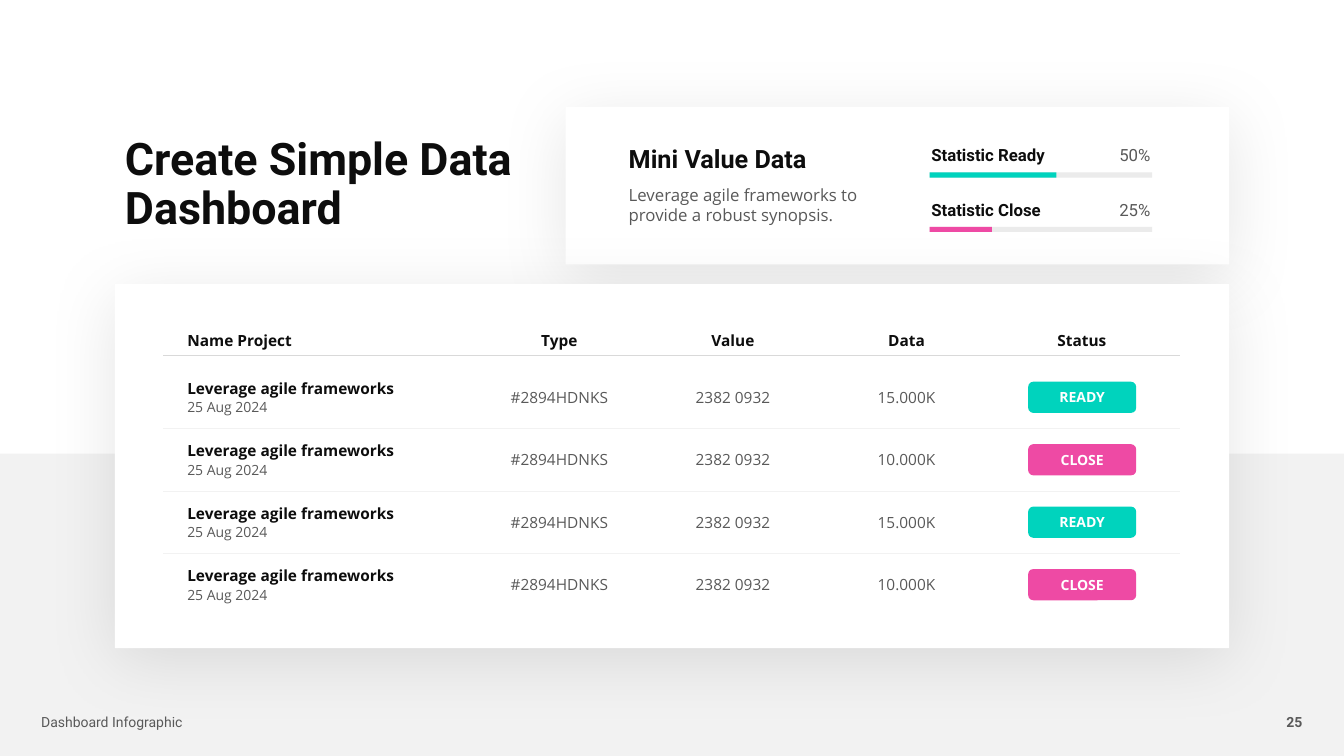
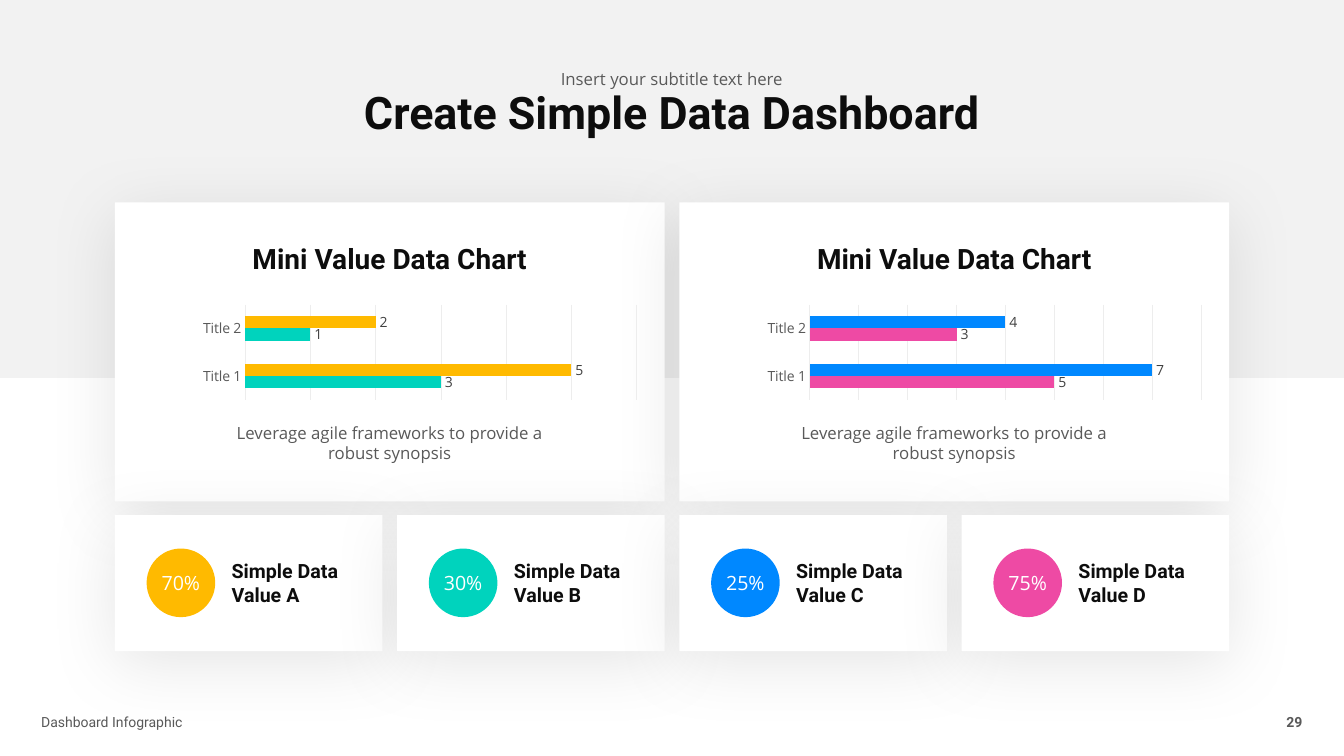
import collections

import lxml.etree
import pptx
import pptx.chart.data
import pptx.dml.color
import pptx.enum.chart
import pptx.enum.shapes
import pptx.enum.text
import pptx.oxml
import pptx.oxml.ns
import pptx.util

Pt = pptx.util.Pt
SHAPE = pptx.enum.shapes.MSO_SHAPE
ANCHOR = pptx.enum.text.MSO_ANCHOR
ALIGN = pptx.enum.text.PP_ALIGN
Box = collections.namedtuple("Box", "x y w h")

COLORS = {
    "white": "FFFFFF", "band": "F2F2F2", "ink": "0D0D0D", "body": "595959",
    "label": "404040", "rule": "D9D9D9", "grid": "EDEDED", "track": "EBEBEB",
    "teal": "00D3BD", "pink": "EE4AA4", "amber": "FFBA00", "blue": "0088FF",
}
HEADING, BODY = "Roboto", "Open Sans"
STYLES = {
    "title": (dict(name=HEADING, size=Pt(32), bold=True), "ink", 0.9),
    "subtitle": (dict(name=BODY, size=Pt(12), bold=False), "body", 1.2),
    "chart title": (dict(name=HEADING, size=Pt(20), bold=True), "ink", 0.9),
    "summary title": (dict(name=HEADING, size=Pt(18), bold=True), "ink", 0.9),
    "metric": (dict(name=HEADING, size=Pt(14), bold=True), "ink", 1.0),
    "percent": (dict(name=BODY, size=Pt(14), bold=False), "white", 1.0),
    "text": (dict(name=BODY, size=Pt(12), bold=False), "body", 1.0),
    "statistic": (dict(name=HEADING, size=Pt(12), bold=True), "ink", 1.0),
    "share": (dict(name=HEADING, size=Pt(12), bold=False), "body", 1.0),
    "footer": (dict(name=HEADING, size=Pt(10), bold=False), "body", 1.0),
    "page": (dict(name=HEADING, size=Pt(10), bold=True), "body", 1.0),
    "cell head": (dict(name=BODY, size=Pt(11), bold=True), "ink", 1.0),
    "cell": (dict(name=BODY, size=Pt(11), bold=False), "body", 1.0),
    "date": (dict(name=BODY, size=Pt(10), bold=False), "body", Pt(13)),
    "status": (dict(name=BODY, size=Pt(10), bold=True), "white", 1.0),
    "axis": (dict(name=BODY, size=Pt(10), bold=False), "body", 1.0),
    "value": (dict(name=BODY, size=Pt(10), bold=False), "label", 1.0),
}
CONTENT_LEFT, CONTENT_WIDTH, GAP = 82, 796, 10.5
TITLE = "Create Simple Data Dashboard"
SYNOPSIS = "Leverage agile frameworks to provide a robust synopsis"


def rgb(color):
    """Return the named colour."""
    return pptx.dml.color.RGBColor.from_string(COLORS[color])


def apply(target, values):
    """Set every attribute in values on target."""
    for key, value in values.items():
        setattr(target, key, value)


def inside(box, dx, dy, w, h):
    """Return a box offset from the corner of another."""
    return Box(box.x + dx, box.y + dy, w, h)


def points(box):
    """Convert a box to lengths."""
    return [Pt(value) for value in box]


def set_font(font, style):
    """Give a font the named style."""
    values, color, _ = STYLES[style]
    apply(font, values)
    font.color.rgb = rgb(color)


def write(paragraph, text, style, align=ALIGN.LEFT):
    """Write one styled run into a paragraph."""
    apply(paragraph, dict(alignment=align, line_spacing=STYLES[style][2]))
    run = paragraph.add_run()
    run.text = text
    set_font(run.font, style)


def add_text(slide, box, text, style, align=ALIGN.LEFT, anchor=ANCHOR.TOP):
    """Add a wrapping text box."""
    frame = slide.shapes.add_textbox(*points(box)).text_frame
    apply(frame, dict(word_wrap=True, vertical_anchor=anchor))
    write(frame.paragraphs[0], text, style, align)


def add_block(slide, box, color, kind=SHAPE.RECTANGLE, text="", style="status"):
    """Add a flat shape, with centred text if given."""
    block = slide.shapes.add_shape(kind, *points(box))
    block.shadow.inherit = False
    block.fill.solid()
    block.fill.fore_color.rgb = rgb(color)
    block.line.fill.background()
    if text:
        frame = block.text_frame
        apply(frame, dict(word_wrap=False, vertical_anchor=ANCHOR.MIDDLE,
                          margin_left=0, margin_right=0, margin_top=0, margin_bottom=0))
        write(frame.paragraphs[0], text, style, ALIGN.CENTER)
    return block


def add_card(slide, box):
    """Add a white panel with a soft shadow."""
    card = add_block(slide, box, "white")
    effects = card.element.spPr.find(pptx.oxml.ns.qn("a:effectLst"))
    effects.append(pptx.oxml.parse_xml(
        f'<a:outerShdw {pptx.oxml.ns.nsdecls("a")} blurRad="{Pt(50)}" dist="{Pt(9)}" '
        'dir="5400000" algn="t" rotWithShape="0"><a:srgbClr val="000000">'
        '<a:alpha val="10000"/></a:srgbClr></a:outerShdw>'))


def start_slide(deck, band, title_box, align, page):
    """Add a slide with its band, title and footer."""
    slide = deck.slides.add_slide(deck.slide_layouts[5])
    title = slide.shapes.title
    apply(title, dict(zip(("left", "top", "width", "height"), points(title_box))))
    frame = title.text_frame
    apply(frame, dict(word_wrap=True, vertical_anchor=ANCHOR.TOP,
                      auto_size=pptx.enum.text.MSO_AUTO_SIZE.NONE))
    write(frame.paragraphs[0], TITLE, "title", align)
    title.element.addprevious(add_block(slide, band, "band").element)
    add_text(slide, Box(882, 506.2, 55.4, 19.4), page, "page", ALIGN.RIGHT)
    add_text(slide, Box(22.3, 506.2, 201, 19.4), "Dashboard Infographic", "footer")
    return slide


def add_statistic(slide, box, name, share, filled, color):
    """Add a label and share above a progress bar."""
    inset, label_width = 5.8, 114
    label = inside(box, -inset, 0, label_width, 21.6)
    share_box = inside(box, label_width - inset, 0, box.w - label_width + 2 * inset, 21.6)
    add_text(slide, label, name, "statistic", anchor=ANCHOR.BOTTOM)
    add_text(slide, share_box, share, "share", ALIGN.RIGHT, ANCHOR.BOTTOM)
    for width, fill in ((box.w, "track"), (filled, color)):
        add_block(slide, inside(box, 0, 23, width, 3.7), fill)


def add_summary(slide, box):
    """Fill the summary card with its text and statistics."""
    add_text(slide, inside(box, 38, 25.2, 222.5, 26.6), "Mini Value Data", "summary title")
    add_text(slide, inside(box, 38, 52, 192, 36), SYNOPSIS + ".", "text")
    statistics = (("Statistic Ready", "50%", 90.7, "teal"),
                  ("Statistic Close", "25%", 44.6, "pink"))
    for index, statistic in enumerate(statistics):
        add_statistic(slide, inside(box, 260, 23.8 + 38.9 * index, 159, 27), *statistic)


def underline(cell, color):
    """Draw a thin rule under a table cell."""
    border = lxml.etree.SubElement(cell._tc.get_or_add_tcPr(),
                                   pptx.oxml.ns.qn("a:lnB"), w=str(Pt(0.5)))
    fill = lxml.etree.SubElement(border, pptx.oxml.ns.qn("a:solidFill"))
    lxml.etree.SubElement(fill, pptx.oxml.ns.qn("a:srgbClr"), val=COLORS[color])


def add_projects(slide, box):
    """Add the project table and its status badges."""
    headers = ("Name Project", "Type", "Value", "Data", "Status")
    projects = [("Leverage agile frameworks", "#2894HDNKS", "2382 0932", data, "")
                for data in ("15.000K", "10.000K") * 2]
    statuses = (("READY", "teal"), ("CLOSE", "pink")) * 2
    widths = (221, 124, 124, 124, 133.5)
    head_height, row_height, lead = 21, 44.6, 8
    heights = [head_height, row_height + lead] + [row_height] * 3
    table = slide.shapes.add_table(5, 5, *points(box)).table
    apply(table, dict(first_row=False, horz_banding=False))
    style_id = table._tbl.tblPr.find(pptx.oxml.ns.qn("a:tableStyleId"))
    style_id.text = "{2D5ABB26-0587-4C30-8999-92F81FD0307C}"
    for column, width in zip(table.columns, widths):
        column.width = Pt(width)
    for row, height in zip(table.rows, heights):
        row.height = Pt(height)
    for row, values in enumerate([headers] + projects):
        for column, value in enumerate(values):
            cell = table.cell(row, column)
            apply(cell, dict(
                vertical_anchor=ANCHOR.MIDDLE, margin_bottom=Pt(3),
                margin_top=Pt(3 + lead if row == 1 else 3),
                margin_left=Pt(0 if column else 17.2),
                margin_right=Pt(7 if column == 4 else 0)))
            if row < 4:
                underline(cell, "band" if row else "rule")
            cell.fill.background()
            if value:
                write(cell.text_frame.paragraphs[0], value,
                      "cell" if row and column else "cell head",
                      ALIGN.CENTER if column else ALIGN.LEFT)
            if row and not column:
                write(cell.text_frame.add_paragraph(), "25 Aug 2024", "date")
    for index, (status, color) in enumerate(statuses):
        top = head_height + lead + row_height * index + (row_height - 22.3) / 2
        add_block(slide, inside(box, sum(widths[:4]) + 24.8, top, 77.2, 22.3),
                  color, SHAPE.ROUNDED_RECTANGLE, status)


def add_bars(slide, box, series, maximum):
    """Add a clustered bar chart with labelled values."""
    data = pptx.chart.data.CategoryChartData()
    data.categories = ("Title 1", "Title 2")
    for index, (values, _) in enumerate(series, 1):
        data.add_series(f"Series {index}", values)
    chart = slide.shapes.add_chart(
        pptx.enum.chart.XL_CHART_TYPE.BAR_CLUSTERED, *points(box), data).chart
    apply(chart, dict(has_legend=False, has_title=False))
    set_font(chart.font, "axis")
    none = pptx.enum.chart.XL_TICK_MARK.NONE
    categories, scale, plot = chart.category_axis, chart.value_axis, chart.plots[0]
    apply(categories, dict(major_tick_mark=none, minor_tick_mark=none))
    set_font(categories.tick_labels.font, "axis")
    apply(scale, dict(visible=False, has_major_gridlines=True,
                      minimum_scale=0, maximum_scale=maximum, major_unit=1))
    for line in (categories.format.line, scale.major_gridlines.format.line):
        line.width = Pt(0.5)
        line.color.rgb = rgb("grid")
    apply(plot, dict(gap_width=182, overlap=0, vary_by_categories=False))
    for bars, (_, color) in zip(plot.series, series):
        bars.format.fill.solid()
        bars.format.fill.fore_color.rgb = rgb(color)
        labels = bars.data_labels
        apply(labels, dict(show_value=True,
                           position=pptx.enum.chart.XL_LABEL_POSITION.OUTSIDE_END))
        set_font(labels.font, "value")
    area = chart.element.chart.plotArea
    for stale in area.findall(pptx.oxml.ns.qn("c:layout")):
        area.remove(stale)
    settings = (("layoutTarget", "inner"), ("xMode", "edge"), ("yMode", "edge"),
                ("x", 0.25), ("y", 0.08), ("w", 0.75), ("h", 0.66))
    layout = "".join(f'<c:{key} val="{value}"/>' for key, value in settings)
    area.insert(0, pptx.oxml.parse_xml(
        f'<c:layout {pptx.oxml.ns.nsdecls("c")}><c:manualLayout>{layout}'
        '</c:manualLayout></c:layout>'))


def add_chart_panel(slide, box, series, maximum):
    """Fill a chart card with heading, chart and synopsis."""
    add_text(slide, inside(box, (box.w - 240) / 2, 27.4, 240, 28.8),
             "Mini Value Data Chart", "chart title", ALIGN.CENTER)
    add_bars(slide, inside(box, 0, 64.8, 373, 103), series, maximum)
    add_text(slide, inside(box, (box.w - 234) / 2, 154, 234, 36),
             SYNOPSIS, "text", ALIGN.CENTER)


def add_metric(slide, box, share, name, color):
    """Fill a small card with a percentage disc and a name."""
    add_block(slide, inside(box, 22.7, 23.8, 49, 49), color, SHAPE.OVAL, share, "percent")
    add_text(slide, inside(box, 76.4, 28, 91.4, 41), name, "metric")


def card_row(count, top, height):
    """Split the content width into equal boxes."""
    width = (CONTENT_WIDTH - GAP * (count - 1)) / count
    return [Box(CONTENT_LEFT + index * (width + GAP), top, width, height)
            for index in range(count)]


def build_table_slide(deck):
    """Build the slide with the project table."""
    slide = start_slide(deck, Box(0, 324, 960, 216), Box(82, 94.3, 304.6, 77),
                        ALIGN.LEFT, "25")
    summary = Box(404, 76.3, 474, 112.5)
    projects = Box(CONTENT_LEFT, 203, CONTENT_WIDTH, 260)
    for card in (summary, projects):
        add_card(slide, card)
    add_projects(slide, inside(projects, 34.6, 29.5, 726.5, 207.4))
    add_summary(slide, summary)


def build_chart_slide(deck):
    """Build the slide with two charts and four metrics."""
    slide = start_slide(deck, Box(0, 0, 960, 270), Box(193.8, 61.2, 572.4, 42.5),
                        ALIGN.CENTER, "29")
    add_text(slide, Box(340.7, 42.5, 278.6, 23.8), "Insert your subtitle text here",
             "subtitle", ALIGN.CENTER)
    panels, metrics = card_row(2, 144.6, 213.5), card_row(4, 368, 97.2)
    for card in panels + metrics:
        add_card(slide, card)
    charts = (((((3, 1), "teal"), ((5, 2), "amber")), 6),
              ((((5, 3), "pink"), ((7, 4), "blue")), 8))
    for panel, chart in zip(panels, charts):
        add_chart_panel(slide, panel, *chart)
    values = (("70%", "A", "amber"), ("30%", "B", "teal"),
              ("25%", "C", "blue"), ("75%", "D", "pink"))
    for box, (share, letter, color) in zip(metrics, values):
        add_metric(slide, box, share, f"Simple Data Value {letter}", color)


def main():
    """Build and save the presentation."""
    deck = pptx.Presentation()
    apply(deck, dict(slide_width=Pt(960), slide_height=Pt(540)))
    build_table_slide(deck)
    build_chart_slide(deck)
    deck.save("out.pptx")


if __name__ == "__main__":
    main()
